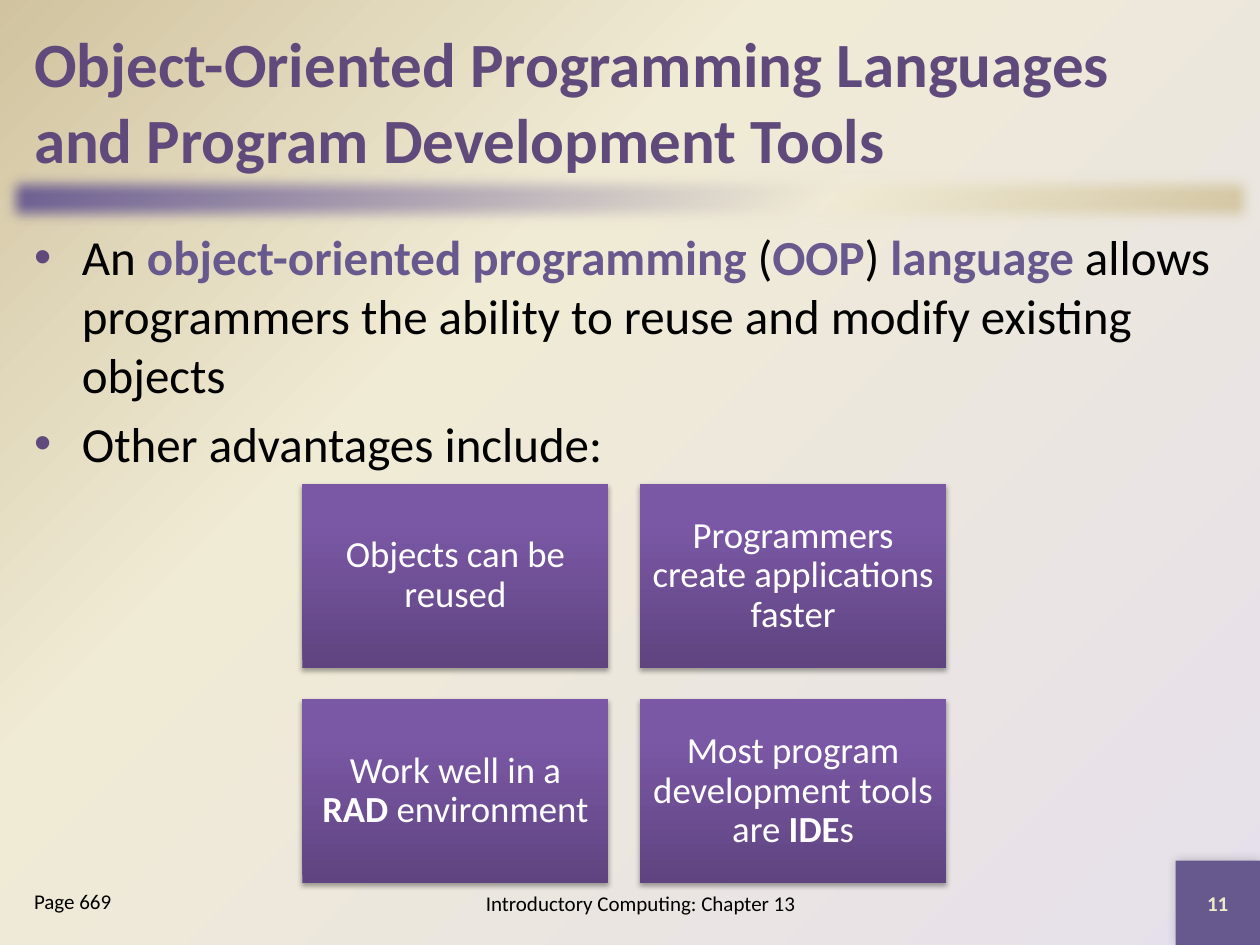
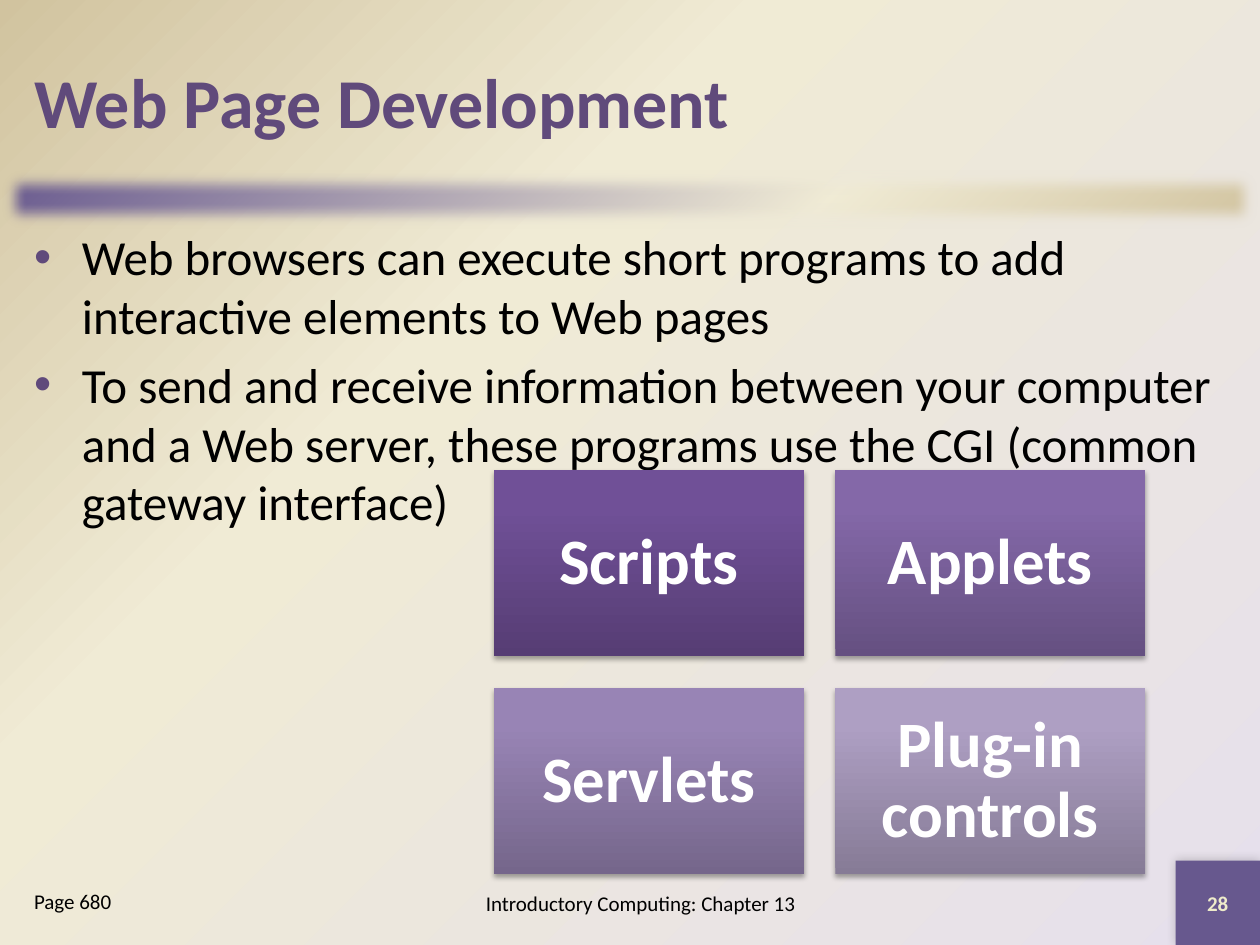
"""Build two textbook slides on object-oriented tools and Web page programs."""
import pptx
import pptx.dml.color
import pptx.enum.shapes
import pptx.enum.text
import pptx.oxml
import pptx.oxml.ns
import pptx.util

Inches = pptx.util.Inches
Pt = pptx.util.Pt
Align = pptx.enum.text.PP_ALIGN
Anchor = pptx.enum.text.MSO_ANCHOR
qn = pptx.oxml.ns.qn
ns = pptx.oxml.ns.nsdecls("a")


class Theme:
    font = "Calibri"
    plum, grape, black, white, cream = "604A7B", "67588E", "000000", "FFFFFF", "EEEBCA"
    page = [(0, "E6E0EC"), (65, "F0EBD5"), (100, "D1C39F")]
    band = [(0, grape), (65, "F0EBD5"), (100, "D1C39F")]
    list_size, small = 28, 12


title_look = {"color": Theme.plum, "bold": True, "anchor": Anchor.MIDDLE}
list_look = {"size": Theme.list_size, "mark": Theme.grape, "bullet": True,
             "before": 0.2 * Theme.list_size}
page_look = {"size": Theme.small}
foot_look = {"size": Theme.small, "align": Align.CENTER, "anchor": Anchor.MIDDLE}
count_look = {**foot_look, "color": Theme.cream, "bold": True}
tile_look = {**foot_look, "color": Theme.white, "spacing": 0.9}


def paint(fill, props, stops, path):
    """Give a gradient fill with its own stops and direction."""
    fill.gradient()
    marks = "".join(f'<a:gs pos="{spot * 1000}"><a:srgbClr val="{color}"/></a:gs>'
                    for spot, color in stops)
    grad = pptx.oxml.parse_xml(
        f'<a:gradFill {ns} rotWithShape="1"><a:gsLst>{marks}</a:gsLst>{path}</a:gradFill>')
    props.replace(props.find(qn("a:gradFill")), grad)


def write(shape, lines, look):
    """Fill a shape with paragraphs; stars enclose bold words."""
    frame = shape.text_frame
    inset = Inches(look.get("inset", 0.1))
    edge = Inches(look.get("inset", 0.05))
    box = {"word_wrap": True, "auto_size": pptx.enum.text.MSO_AUTO_SIZE.NONE,
           "vertical_anchor": look.get("anchor", Anchor.TOP),
           "margin_left": inset, "margin_right": inset,
           "margin_top": edge, "margin_bottom": edge}
    for name, value in box.items():
        setattr(frame, name, value)
    for index, line in enumerate(lines):
        para = frame.add_paragraph() if index else frame.paragraphs[0]
        props = para._p.get_or_add_pPr()
        bullet = look.get("bullet")
        props.set("marL", str(Inches(0.38 if bullet else 0)))
        props.set("indent", str(Inches(-0.38 if bullet else 0)))
        marks = [f'<a:buClr {ns}><a:srgbClr val="{Theme.plum}"/></a:buClr>',
                 f'<a:buFont {ns} typeface="Arial"/>',
                 f'<a:buChar {ns} char="•"/>'] if bullet else [f"<a:buNone {ns}/>"]
        for mark in marks:
            props.append(pptx.oxml.parse_xml(mark))
        form = {"alignment": look.get("align", Align.LEFT),
                "space_before": Pt(look.get("before", 0) if index else 0),
                "line_spacing": look.get("spacing", 1.0)}
        for name, value in form.items():
            setattr(para, name, value)
        for row, piece in enumerate(line.split("\n")):
            if row:
                para.add_line_break()
            for spot, part in enumerate(piece.split("*")):
                if not part:
                    continue
                run = para.add_run()
                run.text = part
                strong = spot % 2 == 1
                style = {"name": Theme.font, "size": Pt(look["size"]),
                         "bold": strong or look.get("bold", False)}
                for name, value in style.items():
                    setattr(run.font, name, value)
                color = look.get("color", Theme.black)
                color = look.get("mark", color) if strong else color
                run.font.color.rgb = pptx.dml.color.RGBColor.from_string(color)


pages = [
    {"title": "Object-Oriented Programming Languages\nand Program Development Tools",
     "size": 36, "count": "11", "page": "Page 669",
     "list": ["An *object-oriented programming* (*OOP*) *language* allows programmers "
              "the ability to reuse and modify existing objects",
              "Other advantages include:"],
     "grid": (2.4, 3.84, 2.43, 1.46), "look": {"size": 21, "inset": 0.09},
     "tiles": ["Objects can be reused", "Programmers create applications faster",
               "Work well in a *RAD* environment",
               "Most program development tools are *IDE*s"],
     "tints": [("5F4480", "7B58A6", "7C57A8")] * 4},
    {"title": "Web Page Development", "size": 40, "count": "28", "page": "Page 680",
     "list": ["Web browsers can execute short programs to add interactive elements "
              "to Web pages",
              "To send and receive information between your computer and a Web server, "
              "these programs use the CGI (common gateway interface)"],
     "grid": (3.92, 3.73, 2.46, 1.48),
     "look": {"size": 37, "inset": 0.15, "bold": True},
     "tiles": ["Scripts", "Applets", "Servlets", "Plug-in controls"],
     "tints": [("563D74", "705097", "704F99"), ("655081", "8468A8", "8467AA"),
               ("75668B", "9884B5", "9984B7"), ("867B96", "AE9FC3", "AE9FC4")]},
]
gap = 0.25
corner_at = [Inches(n) for n in (9.33, 6.83, 0.67, 0.67)]
rect = pptx.enum.shapes.MSO_SHAPE.RECTANGLE
shade = ('<a:outerShdw {} blurRad="{}" dist="{}" dir="{}" rotWithShape="0">'
         '<a:srgbClr val="000000"><a:alpha val="{}"/></a:srgbClr></a:outerShdw>')
tile_shade = shade.format(ns, Pt(3.1), Pt(1.8), 90 * 60000, 35000)
corner_shade = shade.format(ns, Pt(6), 0, 225 * 60000, 20000)
soft_edge = f'<a:softEdge {ns} rad="{Inches(0.12)}"/>'

deck = pptx.Presentation()
deck.slide_width, deck.slide_height = Inches(10), Inches(7.5)
master = deck.slide_master
layout = deck.slide_layouts[3]
back = master.background.fill
back.solid()
paint(back, master.element.find(".//" + qn("p:bgPr")), Theme.page,
      '<a:path path="circle"><a:fillToRect l="100000" t="100000"/></a:path>')

for page in pages:
    slide = deck.slides.add_slide(layout)
    title, body, note = slide.placeholders
    parts = [
        (title, (0.17, 0.17, 9.67, 1.25), [page["title"]],
         {**title_look, "size": page["size"]}),
        (body, (0.17, 1.75, 9.67, 5.08), page["list"], list_look),
        (note, (0.17, 7, 1.83, 0.5), [page["page"]], page_look),
    ]
    for shape, place, lines, look in parts:
        for name, value in zip(("left", "top", "width", "height"), place):
            setattr(shape, name, Inches(value))
        write(shape, lines, look)

    foot = slide.shapes.add_textbox(*[Inches(n) for n in (3, 6.92, 4.17, 0.5)])
    write(foot, ["Introductory Computing: Chapter 13"], foot_look)
    write(slide.shapes.add_textbox(*corner_at), [page["count"]], count_look)

    left, top, width, height = page["grid"]
    for index, (text, tints) in enumerate(zip(page["tiles"], page["tints"])):
        row, col = divmod(index, 2)
        tile = slide.shapes.add_shape(
            rect, Inches(left + col * (width + gap)), Inches(top + row * (height + gap)),
            Inches(width), Inches(height))
        paint(tile.fill, tile.element.spPr, list(zip((0, 80, 100), tints)),
              f'<a:lin ang="{270 * 60000}" scaled="0"/>')
        tile.line.fill.background()
        tile.shadow.inherit = False
        tile.element.spPr.find(qn("a:effectLst")).append(pptx.oxml.parse_xml(tile_shade))
        write(tile, [text], {**tile_look, **page["look"]})

shapes = deck.slides[0].shapes
band = shapes.add_shape(rect, 0, Inches(1.33), Inches(10), Inches(0.5))
paint(band.fill, band.element.spPr, Theme.band,
      f'<a:lin ang="{45 * 60000}" scaled="0"/>')
corner = shapes.add_shape(rect, *corner_at)
corner.fill.solid()
corner.fill.fore_color.rgb = pptx.dml.color.RGBColor.from_string(Theme.grape)
for index, (shape, effect) in enumerate([(band, soft_edge), (corner, corner_shade)]):
    shape.line.fill.background()
    shape.shadow.inherit = False
    shape.element.spPr.find(qn("a:effectLst")).append(pptx.oxml.parse_xml(effect))
    shape.element.nvSpPr.cNvPr.set("id", str(100 + index))
    layout.shapes.element.insert(2 + index, shape.element)

deck.save("out.pptx")
